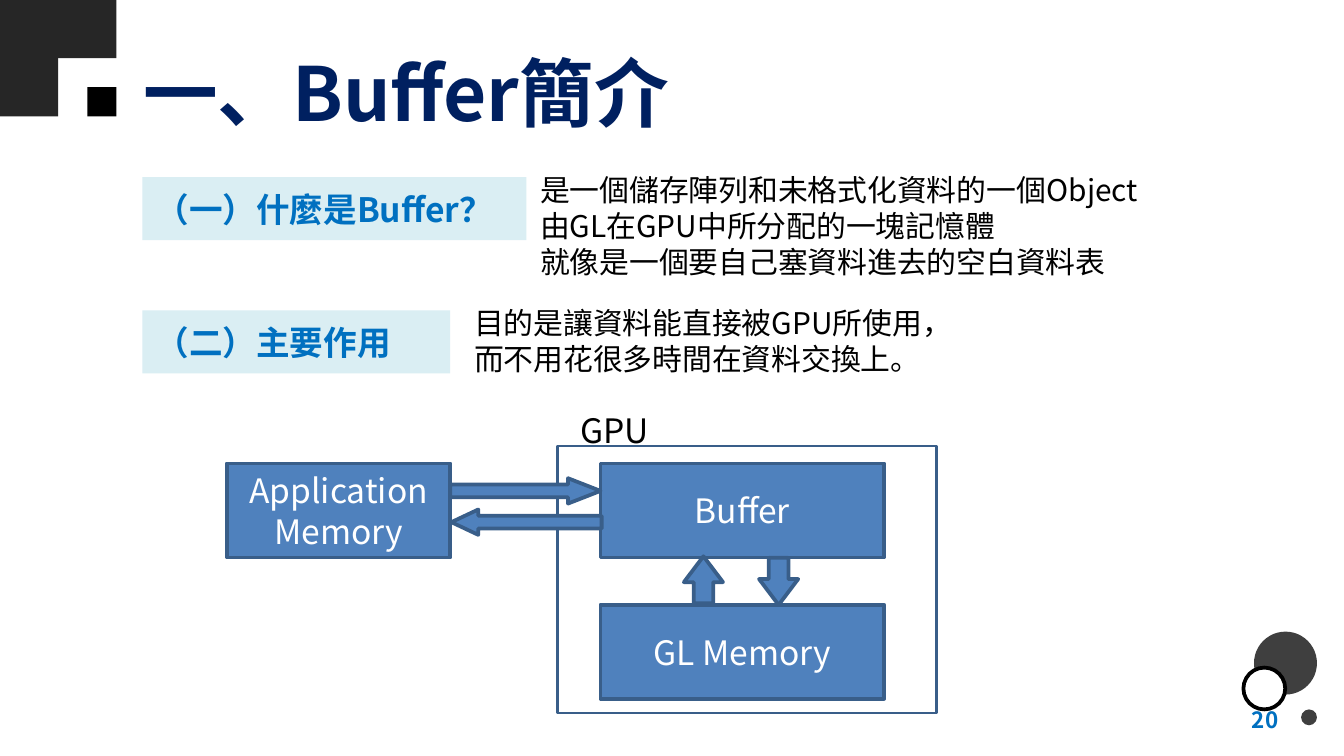
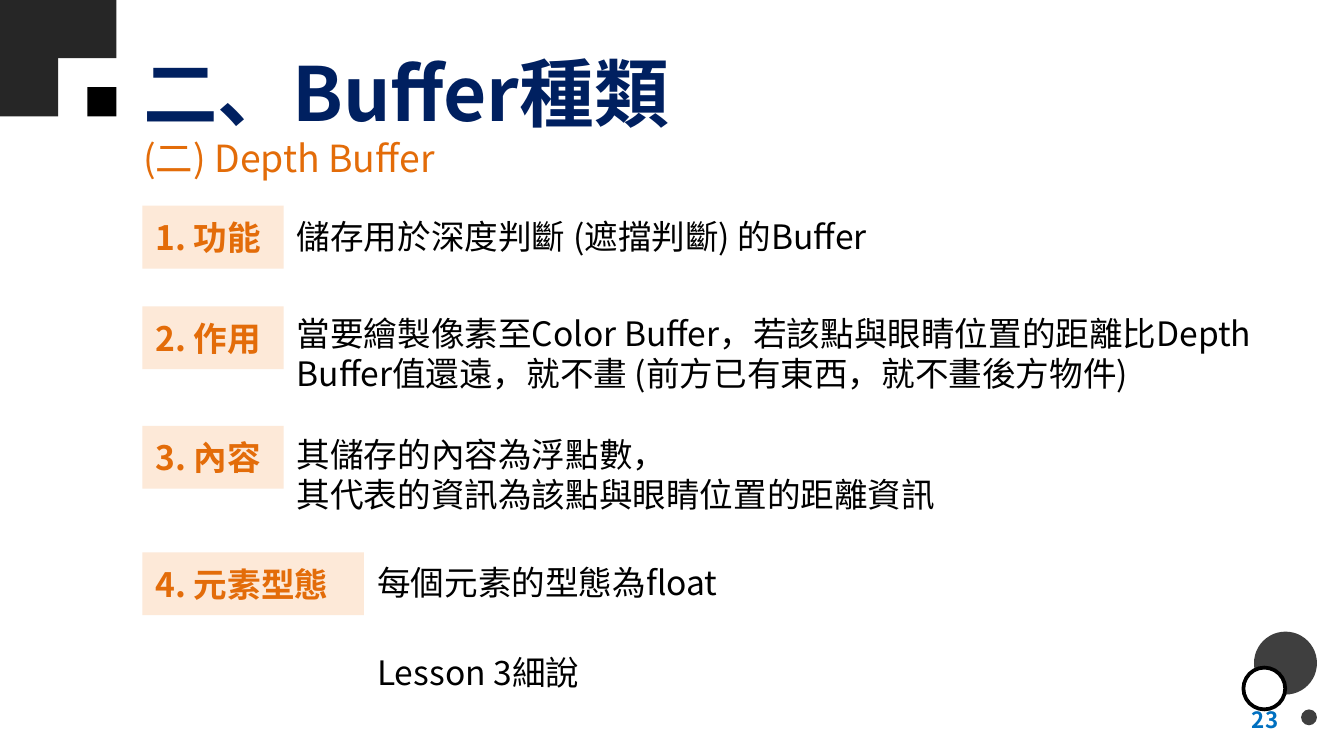
from dataclasses import dataclass

from lxml import etree
from pptx import Presentation
from pptx.dml.color import RGBColor
from pptx.enum.shapes import MSO_SHAPE
from pptx.enum.text import MSO_ANCHOR, PP_ALIGN
from pptx.oxml.ns import qn
from pptx.util import Cm, Pt

RECTANGLE, OVAL, ARROW = MSO_SHAPE.RECTANGLE, MSO_SHAPE.OVAL, MSO_SHAPE.RIGHT_ARROW
TOP, MIDDLE = MSO_ANCHOR.TOP, MSO_ANCHOR.MIDDLE
LEFT, CENTER, RIGHT = PP_ALIGN.LEFT, PP_ALIGN.CENTER, PP_ALIGN.RIGHT


@dataclass(frozen=True)
class Theme:
    font: str = "Noto Sans CJK TC"
    title: str = "002060"
    text: str = "000000"
    white: str = "FFFFFF"
    corner: str = "262626"
    dot: str = "3F3F3F"
    blue: str = "0070C0"
    blue_tint: str = "DAEEF3"
    orange: str = "E36C09"
    orange_tint: str = "FDE9D8"
    box: str = "4F81BD"
    box_line: str = "395E89"
    title_size: int = 40
    subtitle_size: int = 20
    label_size: int = 18
    note_size: int = 16
    number_size: int = 12


THEME = Theme()

# Content: boxes are (left, top, width, height) in centimetres
INTRO = {
    "title": "一、Buffer簡介",
    "number": "20",
    "sections": [
        # label, label top, label width, description lines, description box
        ("（一）什麼是Buffer？", 3.35, 7.26,
         ["是一個儲存陣列和未格式化資料的一個Object",
          "由GL在GPU中所分配的一塊記憶體",
          "就像是一個要自己塞資料進去的空白資料表"], (9.96, 3.12, 12.7, 1.63)),
        ("（二）主要作用", 5.87, 5.82,
         ["目的是讓資料能直接被GPU所使用，",
          "而不用花很多時間在資料交換上。"], (8.71, 5.64, 10.9, 1.63)),
    ],
}

KINDS = {
    "title": "二、Buffer種類",
    "number": "23",
    "subtitle": "(二) Depth Buffer",
    "sections": [
        # label, label top, label width, description lines, top, width
        ("1. 功能", 3.89, 2.67, ["儲存用於深度判斷 (遮擋判斷) 的Buffer"], 3.96, 11.35),
        ("2. 作用", 5.79, 2.67,
         ["當要繪製像素至Color Buffer，若該點與眼睛位置的距離比Depth Buffer值還遠，"
          "就不畫 (前方已有東西，就不畫後方物件)"], 5.79, 19.08),
        ("3. 內容", 8.05, 2.67,
         ["其儲存的內容為浮點數，", "其代表的資訊為該點與眼睛位置的距離資訊"], 8.08, 19.08),
        ("4. 元素型態", 10.44, 4.19, ["每個元素的型態為float"], 10.49, 7.87),
    ],
    "closing": ("Lesson 3細說", 12.19, 7.87),
}

# Memory diagram
GPU_FRAME = (10.54, 8.43, 7.16, 5.05)
GPU_CAPTION = (10.72, 7.62, 3.4, 0.74)
BOX_HEIGHT = 1.78
MEMORY_BOXES = [  # text, left, top, width
    ("Application Memory", 4.29, 8.76, 4.22),
    ("Buffer", 11.35, 8.76, 5.36),
    ("GL Memory", 11.35, 11.43, 5.36),
]
ARROWS = [  # box before turning, rotation, head length
    ((8.51, 9.04, 2.84, 0.48), 0, 1.28),
    ((8.53, 9.63, 2.84, 0.48), 180, 1.06),
    ((12.85, 10.59, 0.89, 0.74), 270, 0.66),
    ((14.27, 10.62, 0.89, 0.74), 90, 0.66),
]

# Shared decoration
LABEL_LEFT, LABEL_HEIGHT = 2.69, 1.19
CORNER = 1.1
CORNER_CELLS = [(0, 0), (1, 0), (0, 1)]
DOTS = [  # box, fill, outline
    ((23.7, 11.94, 1.19, 1.19), THEME.dot, None),
    ((24.59, 13.41, 0.3, 0.3), THEME.dot, None),
    ((23.5, 12.62, 0.79, 0.79), THEME.white, THEME.text),
]


def write(shape, lines, *, size=THEME.label_size, color=THEME.text, bold=False,
          align=LEFT, anchor=TOP):
    frame = shape.text_frame
    frame.word_wrap = True
    frame.vertical_anchor = anchor
    for index, line in enumerate(lines):
        paragraph = frame.add_paragraph() if index else frame.paragraphs[0]
        paragraph.alignment = align
        run = paragraph.add_run()
        run.text = line
        font = run.font
        font.size, font.bold, font.name = Pt(size), bold, THEME.font
        font.color.rgb = RGBColor.from_string(color)
        # Chinese characters take the same typeface
        east_asian = etree.SubElement(run._r.get_or_add_rPr(), qn("a:ea"))
        east_asian.set("typeface", THEME.font)


def add_text(slide, box, lines, **text_format):
    write(slide.shapes.add_textbox(*map(Cm, box)), lines, **text_format)


def add_block(slide, kind, box, *, fill=None, line=None, line_width=2):
    shape = slide.shapes.add_shape(kind, *map(Cm, box))
    shape.shadow.inherit = False
    if fill:
        shape.fill.solid()
        shape.fill.fore_color.rgb = RGBColor.from_string(fill)
    else:
        shape.fill.background()
    if line:
        shape.line.color.rgb = RGBColor.from_string(line)
        shape.line.width = Pt(line_width)
    else:
        shape.line.fill.background()
    return shape


def add_label(slide, text, top, width, color, tint):
    box = (LABEL_LEFT, top, width, LABEL_HEIGHT)
    label = add_block(slide, RECTANGLE, box, fill=tint)
    write(label, [text], color=color, bold=True, anchor=MIDDLE)


def add_base_slide(presentation, content):
    slide = presentation.slides.add_slide(presentation.slide_layouts[6])
    add_text(slide, (2.46, 0.53, 14.33, 2.39), [content["title"]],
             size=THEME.title_size, color=THEME.title, bold=True, anchor=MIDDLE)
    # Corner squares
    for column, row in CORNER_CELLS:
        add_block(slide, RECTANGLE, (column * CORNER, row * CORNER, CORNER, CORNER),
                  fill=THEME.corner)
    add_block(slide, RECTANGLE, (1.5 * CORNER, 1.5 * CORNER, CORNER / 2, CORNER / 2),
              fill=THEME.text)
    # Circles and slide number
    for box, fill, line in DOTS:
        add_block(slide, OVAL, box, fill=fill, line=line)
    add_text(slide, (18.49, 13.23, 5.92, 0.76), [content["number"]],
             size=THEME.number_size, color=THEME.blue, bold=True,
             align=RIGHT, anchor=MIDDLE)
    return slide


def add_memory_diagram(slide):
    add_block(slide, RECTANGLE, GPU_FRAME, line=THEME.box_line, line_width=1.5)
    add_text(slide, GPU_CAPTION, ["GPU"])
    for text, left, top, width in MEMORY_BOXES:
        shape = add_block(slide, RECTANGLE, (left, top, width, BOX_HEIGHT),
                          fill=THEME.box, line=THEME.box_line)
        write(shape, [text], color=THEME.white, align=CENTER, anchor=MIDDLE)
    for box, rotation, head in ARROWS:
        arrow = add_block(slide, ARROW, box, fill=THEME.box, line=THEME.box_line)
        arrow.rotation = rotation
        arrow.adjustments[0], arrow.adjustments[1] = 0.5, head


def build_intro(presentation):
    slide = add_base_slide(presentation, INTRO)
    for label, top, width, lines, box in INTRO["sections"]:
        add_label(slide, label, top, width, THEME.blue, THEME.blue_tint)
        add_text(slide, box, lines, size=THEME.note_size)
    add_memory_diagram(slide)


def build_kinds(presentation):
    slide = add_base_slide(presentation, KINDS)
    add_text(slide, (2.46, 2.44, 13.16, 1.12), [KINDS["subtitle"]],
             size=THEME.subtitle_size, color=THEME.orange)
    # Each description starts where its label ends
    for label, top, width, lines, text_top, text_width in KINDS["sections"]:
        add_label(slide, label, top, width, THEME.orange, THEME.orange_tint)
        text_left = LABEL_LEFT + width
        add_text(slide, (text_left, text_top, text_width, 1.02 * len(lines)), lines)
    # The closing line aligns with the last description
    closing, top, width = KINDS["closing"]
    add_text(slide, (text_left, top, width, 1.02), [closing])


def main():
    presentation = Presentation()
    presentation.slide_width, presentation.slide_height = Cm(25.4), Cm(14.29)
    build_intro(presentation)
    build_kinds(presentation)
    presentation.save("out.pptx")


if __name__ == "__main__":
    main()
